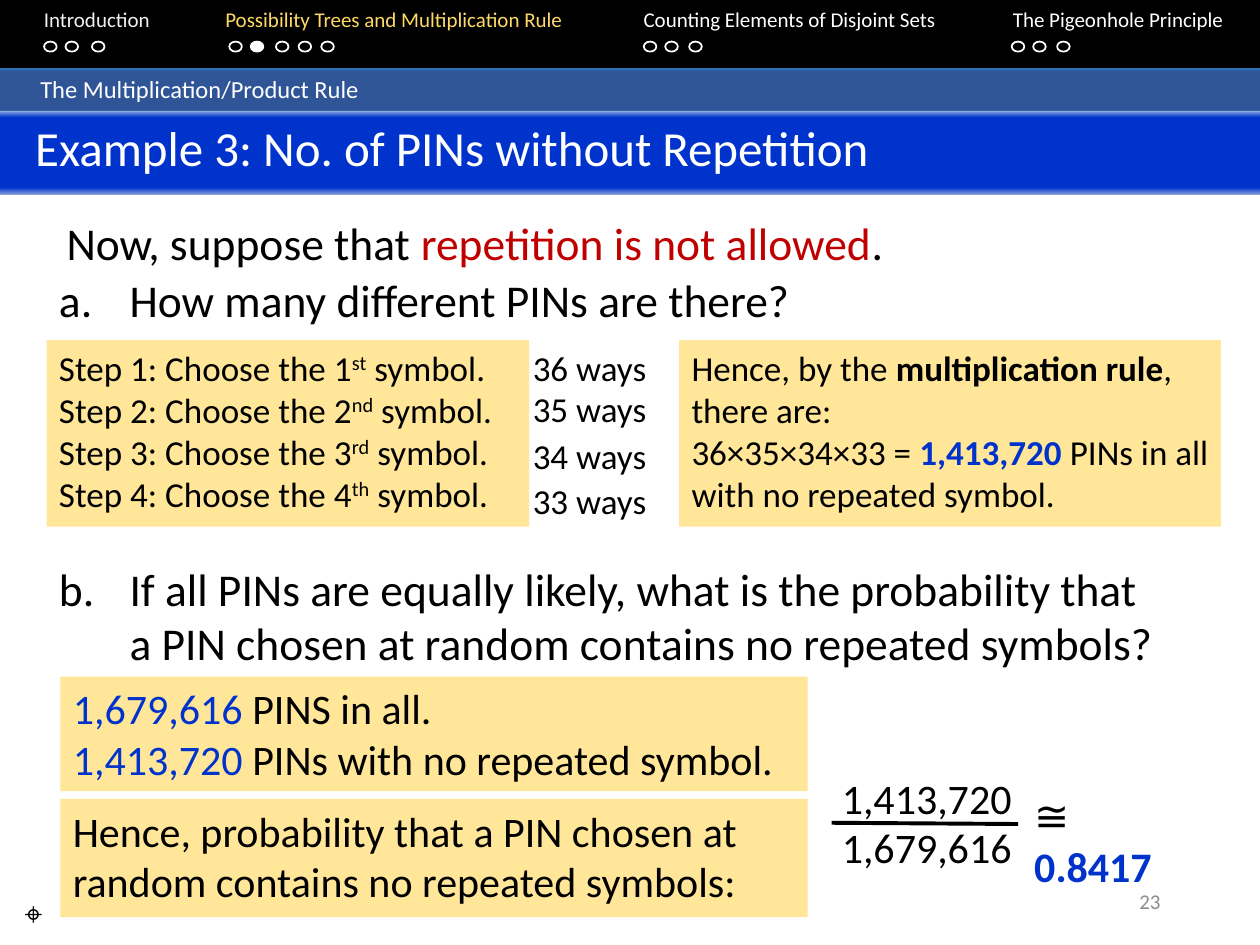
from lxml.etree import SubElement
from pptx import Presentation
from pptx.dml.color import RGBColor
from pptx.enum.shapes import MSO_CONNECTOR, MSO_SHAPE
from pptx.enum.text import MSO_ANCHOR, MSO_AUTO_SIZE, PP_ALIGN
from pptx.oxml.ns import qn
from pptx.util import Inches, Pt

COLORS = {
    "black": "000000", "white": "FFFFFF", "soft_white": "F2F2F2",
    "gold": "FFD966", "box": "FFE699", "red": "C00000", "blue": "0033CC",
    "gray": "8C8C8C", "sky": "8FAADC", "steel": "2E75B6", "navy": "2F5597",
}
DOT_GROUPS = [
    [0.35, 0.52, 0.73],
    [1.82, 1.99, 2.19, 2.37, 2.55],
    [5.11, 5.28, 5.47],
    [8.03, 8.2, 8.39],
]
CURRENT_DOT = 1.99
STEPS = [("st", 36, 2.7), ("nd", 35, 3.03), ("rd", 34, 3.4), ("th", 33, 3.76)]


def rgb(name):
    return RGBColor.from_string(COLORS[name])


def write_text(shape, paragraphs, size, color="black", align=PP_ALIGN.LEFT, **frame_format):
    """Fill a shape with paragraphs, each a list of (text, font format) runs."""
    frame = shape.text_frame
    settings = {"word_wrap": True, "vertical_anchor": MSO_ANCHOR.TOP, **frame_format}
    for name, value in settings.items():
        setattr(frame, name, value)
    for index, runs in enumerate(paragraphs):
        paragraph = frame.paragraphs[0] if index == 0 else frame.add_paragraph()
        paragraph.alignment = align
        for text, run_format in runs:
            run = paragraph.add_run()
            run.text = text
            font_format = {"name": "Calibri", "size": Pt(size),
                           "bold": run_format.get("bold", False)}
            for name, value in font_format.items():
                setattr(run.font, name, value)
            run.font.color.rgb = rgb(run_format.get("color", color))
            if run_format.get("superscript"):
                run.font._element.set("baseline", "30000")


def add_text(shapes, box, paragraphs, size, **text_format):
    shape = shapes.add_textbox(*map(Inches, box))
    text_format.setdefault("auto_size", MSO_AUTO_SIZE.SHAPE_TO_FIT_TEXT)
    write_text(shape, paragraphs, size, **text_format)
    return shape


def add_panel(shapes, box, fill):
    panel = shapes.add_shape(MSO_SHAPE.RECTANGLE, *map(Inches, box))
    panel.shadow.inherit = False
    panel.line.fill.background()
    panel.fill.solid()
    panel.fill.fore_color.rgb = rgb(fill)
    return panel


def add_answer(shapes, box, paragraphs, size):
    write_text(add_panel(shapes, box, "box"), paragraphs, size)


def add_band(shapes, box, stops, text, size, indent):
    """Add a full-width title band with a vertical gradient."""
    band = add_panel(shapes, box, stops[0][1])
    band.fill.gradient()
    band.fill.gradient_angle = 90
    stop_list = band._element.spPr.find(qn("a:gradFill")).find(qn("a:gsLst"))
    stop_list.clear()
    for percent, color in stops:
        stop = SubElement(stop_list, qn("a:gs"), pos=str(percent * 1000))
        SubElement(stop, qn("a:srgbClr"), val=COLORS[color])
    write_text(band, [[(text, {})]], size, color="white", margin_left=Inches(indent))


def add_question(shapes, box, text, number):
    """Add a hanging question lettered a., b., ..."""
    shape = add_text(shapes, box, [[(text, {})]], 26)
    properties = shape.text_frame.paragraphs[0]._p.get_or_add_pPr()
    properties.set("marL", str(Inches(0.56)))
    properties.set("indent", str(-Inches(0.56)))
    SubElement(properties, qn("a:buFont"), typeface="+mj-lt")
    SubElement(properties, qn("a:buAutoNum"), type="alphaLcPeriod", startAt=str(number))


def add_navigation(shapes):
    add_panel(shapes, (0, -0.02, 10, 0.56), "black")
    sections = [[
        ("\tIntroduction", {"color": "soft_white"}),
        ("\tPossibility Trees and Multiplication Rule", {"color": "gold"}),
        ("\tCounting Elements of Disjoint Sets", {}),
        ("\tThe Pigeonhole Principle", {}),
    ]]
    menu = add_text(shapes, (0, 0, 10, 0.5), sections, 12, color="white",
                    auto_size=MSO_AUTO_SIZE.NONE)
    tabs = SubElement(menu.text_frame.paragraphs[0]._p.get_or_add_pPr(), qn("a:tabLst"))
    for position in (0.25, 1.69, 5.01, 7.94):
        SubElement(tabs, qn("a:tab"), pos=str(Inches(position)), algn="l")


def add_progress_dots(shapes):
    for left in (left for group in DOT_GROUPS for left in group):
        dot = shapes.add_shape(MSO_SHAPE.OVAL, Inches(left), Inches(0.33),
                               Inches(0.1), Inches(0.08))
        dot.shadow.inherit = False
        dot.line.color.rgb = rgb("white")
        dot.line.width = Pt(1)
        if left == CURRENT_DOT:
            dot.fill.solid()
            dot.fill.fore_color.rgb = rgb("white")
        else:
            dot.fill.background()


def add_steps(shapes):
    steps = [
        [(f"Step {number}: Choose the {number}", {}), (suffix, {"superscript": True}),
         (" symbol.", {})]
        for number, (suffix, _, _) in enumerate(STEPS, 1)
    ]
    add_answer(shapes, (0.37, 2.7, 3.83, 1.48), steps, 20)
    for _, ways, top in STEPS:
        add_text(shapes, (4.13, top, 1.15, 0.44), [[(f"{ways} ways", {})]], 20)


def add_probability(shapes):
    """Add the grouped fraction and its approximate value."""
    group = shapes.add_group_shape().shapes
    for text, top in (("1,413,720", 6.08), ("1,679,616", 6.47)):
        add_text(group, (6.58, top, 1.55, 0.5), [[(text, {})]], 24, align=PP_ALIGN.CENTER)
    bar = group.add_connector(MSO_CONNECTOR.STRAIGHT,
                              *map(Inches, (6.6, 6.53, 8.08, 6.54)))
    bar.line.color.rgb = rgb("black")
    bar.line.width = Pt(2.25)
    SubElement(bar._element.spPr, qn("a:effectLst"))
    result = [[("≅ ", {}), ("0.8417", {"color": "blue", "bold": True})]]
    add_text(group, (8.11, 6.22, 1.48, 0.5), result, 24)


def main():
    presentation = Presentation()
    presentation.slide_width = Inches(10)
    presentation.slide_height = Inches(7.5)
    shapes = presentation.slides.add_slide(presentation.slide_layouts[6]).shapes
    blue = {"color": "blue"}

    add_navigation(shapes)
    add_band(shapes, (0, 0.54, 10, 0.36),
             [(0, "steel"), (11, "navy"), (91, "navy"), (100, "steel")],
             "The Multiplication/Product Rule", 14, 0.32)
    add_progress_dots(shapes)
    add_band(shapes, (0, 0.88, 10, 0.67),
             [(0, "sky"), (9, "blue"), (92, "blue"), (100, "sky")],
             "Example 3: No. of PINs without Repetition", 28, 0.28)

    add_text(shapes, (0.43, 1.66, 8.74, 0.54),
             [[("Now, suppose that ", {}), ("repetition is not allowed", {"color": "red"}),
               (".", {})]], 26)
    add_question(shapes, (0.37, 2.11, 8.74, 0.54), "How many different PINs are there?", 1)
    add_steps(shapes)
    add_answer(shapes, (5.39, 2.7, 4.3, 1.48), [
        [("Hence, by the ", {}), ("multiplication rule", {"bold": True}), (", there are:", {})],
        [("36×35×34×33 = ", {}), ("1,413,720", {"color": "blue", "bold": True}),
         (" PINs in all with no repeated symbol.", {})],
    ], 20)

    add_question(shapes, (0.37, 4.4, 8.94, 0.98),
                 "If all PINs are equally likely, what is the probability that "
                 "a PIN chosen at random contains no repeated symbols?", 2)
    add_answer(shapes, (0.48, 5.37, 5.93, 0.91), [
        [("1,679,616", blue), (" PINS in all.", {})],
        [("1,413,720", blue), (" PINs with no repeated symbol.", {})],
    ], 24)
    add_answer(shapes, (0.48, 6.34, 5.93, 0.94),
               [[("Hence, probability that a PIN chosen at random "
                  "contains no repeated symbols:", {})]], 24)
    add_probability(shapes)

    add_text(shapes, (-0.04, 7.05, 0.61, 0.4), [[("⌖", {})]], 18, align=PP_ALIGN.CENTER)
    add_text(shapes, (7.06, 6.95, 2.25, 0.4), [[("23", {})]], 12, color="gray",
             align=PP_ALIGN.RIGHT, vertical_anchor=MSO_ANCHOR.MIDDLE,
             auto_size=MSO_AUTO_SIZE.NONE)
    presentation.save("out.pptx")


if __name__ == "__main__":
    main()
